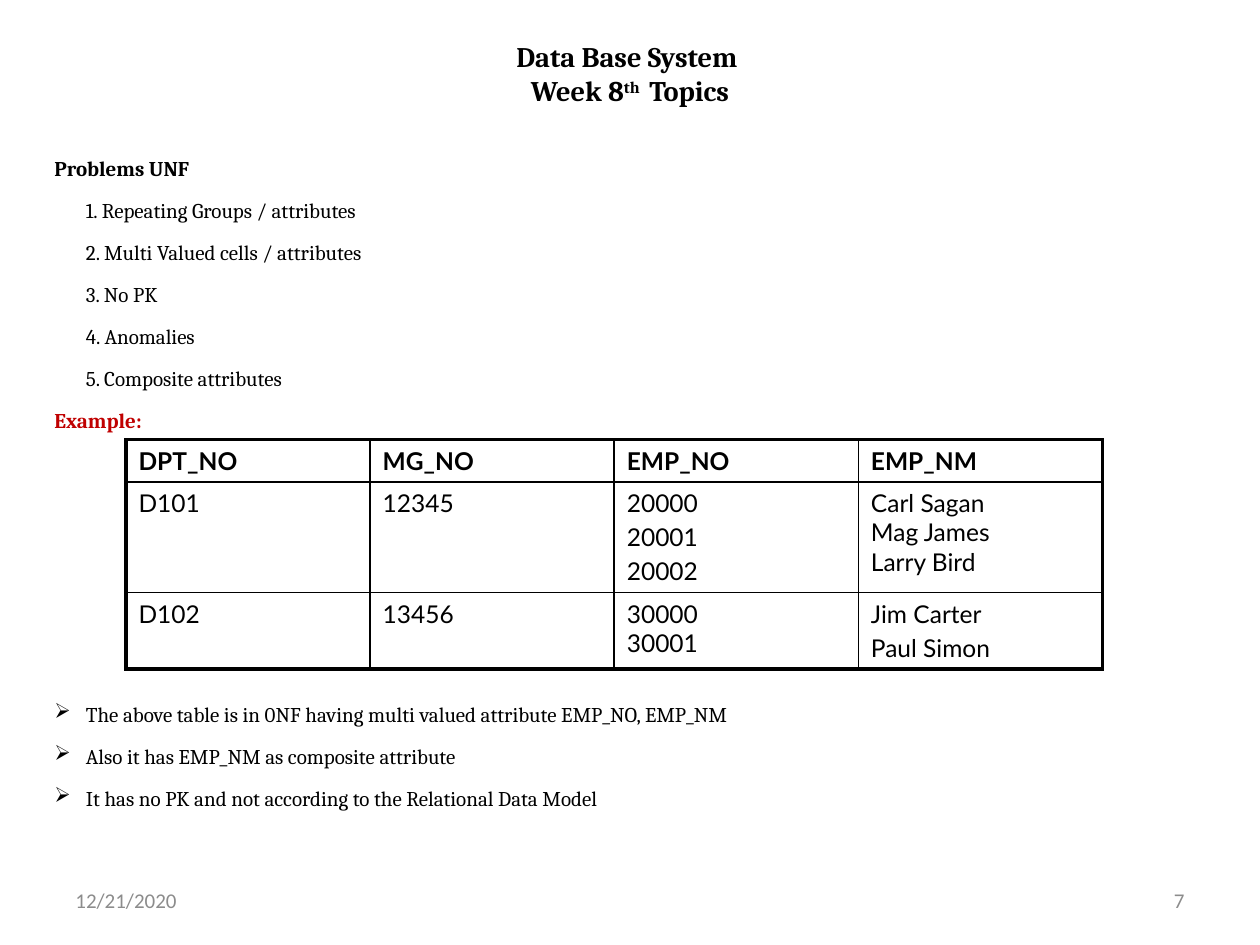
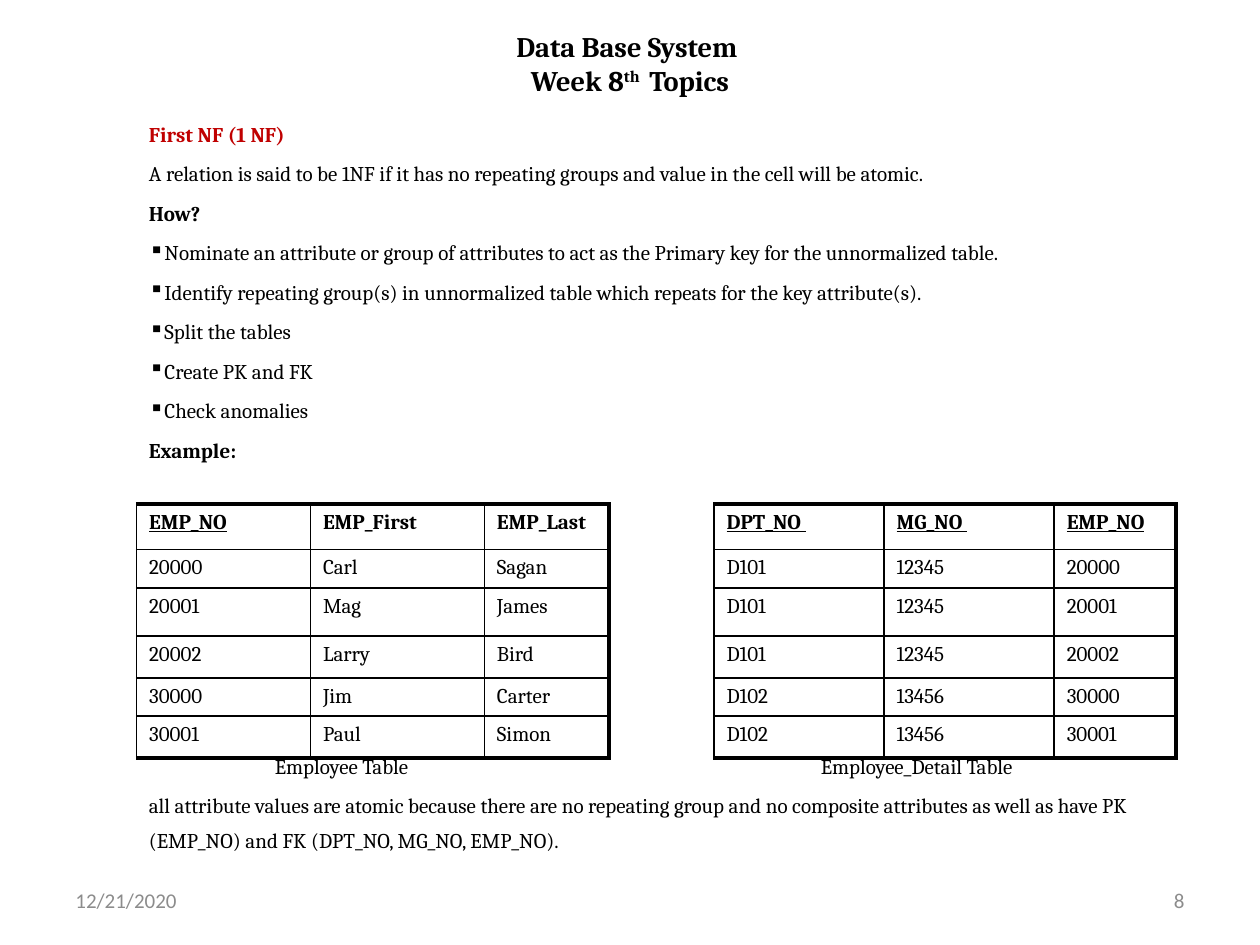
from copy import deepcopy
from itertools import product

from lxml import etree
from pptx import Presentation
from pptx.dml.color import RGBColor
from pptx.enum.text import MSO_ANCHOR as ANCHOR, MSO_AUTO_SIZE as AUTO, PP_ALIGN as ALIGN
from pptx.oxml.ns import qn
from pptx.util import Pt

BLACK = RGBColor(0, 0, 0)
RED = RGBColor(0xC0, 0, 0)
GRAY = RGBColor(0x8C, 0x8C, 0x8C)

BODY = dict(name="Cambria", size=Pt(12), bold=False, color=BLACK)
BOLD = BODY | dict(bold=True)
RED_BOLD = BOLD | dict(color=RED)
KEY = BOLD | dict(underline=True)
TITLE = BOLD | dict(size=Pt(16.2))
FOOTER = dict(name="Calibri", size=Pt(12), color=GRAY)
GRID = dict(name="Lato", size=Pt(14), bold=False, color=BLACK)
THIN, THICK = 1, 2.25


def points(*values):
    return [Pt(v) for v in values]


# Text helpers
def add_run(p, text, style):
    """Add text to a paragraph; a vertical tab is a line break."""
    for i, line in enumerate(text.split("\v")):
        if i:
            p.add_line_break()
            p._p[-1].append(deepcopy(r._r.rPr))
        r = p.add_run()
        r.text = line
        for key, value in style.items():
            if key == "color":
                r.font.color.rgb = value
            else:
                setattr(r.font, key, value)
    return r


def next_paragraph(tf, index, size):
    if index == 0:
        return tf.paragraphs[0]
    p = tf.add_paragraph()
    p.space_before = Pt(0.2 * size.pt)
    return p


def set_indent(p, left, first=0, bullet=None):
    pPr = p._p.get_or_add_pPr()
    pPr.set("marL", str(Pt(left)))
    pPr.set("indent", str(Pt(first)))
    if bullet:
        etree.SubElement(pPr, qn("a:buChar")).set("char", bullet)


def add_text(slide, box, lines, spacing=1.0, align=ALIGN.LEFT, anchor=ANCHOR.TOP):
    """Each line is (text, style) or (text, style, indent arguments)."""
    tf = slide.shapes.add_textbox(*points(*box)).text_frame
    tf.word_wrap = True
    tf.vertical_anchor = anchor
    for i, (text, style, *indent) in enumerate(lines):
        p = next_paragraph(tf, i, style["size"])
        p.line_spacing = spacing
        p.alignment = align
        if indent:
            set_indent(p, *indent[0])
        add_run(p, text, style)


# Title and footer shared by the slides
def add_slide(prs, number, title_height):
    slide = prs.slides.add_slide(prs.slide_layouts[5])
    title = slide.shapes.title
    title.left, title.top, title.width, title.height = points(54, 24, 612, title_height)
    tf = title.text_frame
    tf.auto_size = AUTO.NONE
    tf.vertical_anchor = ANCHOR.MIDDLE
    p = tf.paragraphs[0]
    p.alignment = ALIGN.CENTER
    add_run(p, "Data Base System \vWeek 8", TITLE)
    ordinal = add_run(p, "th ", TITLE)
    ordinal._r.rPr.set("baseline", "30000")
    add_run(p, " Topics", TITLE)

    for left, text, align in ((36, "12/21/2020", ALIGN.LEFT), (516, number, ALIGN.RIGHT)):
        add_text(slide, (left, 500, 168, 29), [(text, FOOTER)], align=align,
                 anchor=ANCHOR.MIDDLE)
    return slide


# Tables
def set_borders(cell, widths):
    tcPr = cell._tc.get_or_add_tcPr()
    for i, (side, width) in enumerate(widths.items()):
        line = etree.Element(qn(f"a:ln{side}"), w=str(Pt(width)))
        fill = etree.SubElement(line, qn("a:solidFill"))
        etree.SubElement(fill, qn("a:srgbClr")).set("val", str(BLACK))
        tcPr.insert(i, line)


def add_grid(slide, origin, widths, heights, rows, style, left_edge=THIN, keys=()):
    """Draw a table with a heavy frame; headings named in keys are underlined."""
    box = points(*origin, sum(widths), sum(heights))
    table = slide.shapes.add_table(len(rows), len(widths), *box).table
    table.first_row = table.horz_banding = False
    for column, width in zip(table.columns, widths):
        column.width = Pt(width)
    for row, height in zip(table.rows, heights):
        row.height = Pt(height)
    last_row, last_col = len(rows) - 1, len(widths) - 1
    for r, c in product(range(len(rows)), range(len(widths))):
        cell = table.cell(r, c)
        cell.fill.background()
        set_borders(cell, dict(
            L=THIN if c else left_edge,
            R=THICK if c == last_col else THIN,
            T=THIN if r else THICK,
            B=THICK if r == last_row else THIN))
        text = rows[r][c]
        font = style | dict(bold=r == 0, underline=r == 0 and text.strip() in keys)
        for i, line in enumerate(text.split("\n")):
            add_run(next_paragraph(cell.text_frame, i, style["size"]), line, font)


# Slide: problems of the unnormalized form
def build_problems(prs):
    slide = add_slide(prs, "7", 36)
    problems = ["Repeating Groups / attributes", "Multi Valued cells / attributes",
                "No PK", "Anomalies", "Composite attributes"]
    add_text(slide, (24, 78, 672, 172),
             [("Problems UNF", BOLD)]
             + [(f"{n}. {text}", BODY, (18,)) for n, text in enumerate(problems, 1)]
             + [("Example:", RED_BOLD)], spacing=1.5)
    add_grid(slide, (72, 251.3), [139.5] * 4, [24, 63.2, 43.4], [
        ["DPT_NO ", "MG_NO ", "EMP_NO", "EMP_NM"],
        ["D101", "12345", "20000\n20001\n20002", "Carl Sagan\vMag James\vLarry Bird"],
        ["D102", "13456", "30000\v30001", "Jim Carter\nPaul Simon"],
    ], GRID, left_edge=THICK)
    notes = ["The above table is in 0NF having multi valued attribute EMP_NO, EMP_NM",
             "Also it has EMP_NM as composite attribute",
             "It has no PK and not according to the Relational Data Model"]
    add_text(slide, (24, 390, 672, 80),
             [(text, BODY, (18, -18, "➢")) for text in notes], spacing=1.5)


# Slide: first normal form
def build_first_form(prs):
    slide = add_slide(prs, "8", 24)
    steps = ["Nominate an attribute or group of attributes to act as the Primary key "
             "for the unnormalized table.",
             "Identify repeating group(s) in unnormalized table which repeats for the "
             "key attribute(s).",
             "Split the tables", "Create PK and FK", "Check anomalies"]
    add_text(slide, (78, 60, 576, 210),
             [("First NF (1 NF)", RED_BOLD),
              ("A relation is said to be 1NF if it has no repeating groups and value "
               "in the cell will be atomic.", BODY),
              ("How?", BOLD)]
             + [(text, BODY, (0, 0, "▪")) for text in steps]
             + [("Example:", BOLD)], spacing=1.4)

    people = [("20000", "Carl", "Sagan"), ("20001", "Mag", "James"),
              ("20002", "Larry", "Bird"), ("30000", "Jim", "Carter"),
              ("30001", "Paul", "Simon")]
    departments = [("D101", "12345")] * 3 + [("D102", "13456")] * 2
    details = [(*dept, person[0]) for dept, person in zip(departments, people)]
    heights = [26, 22, 27.5, 24, 21, 24]
    add_grid(slide, (78, 288), [99.4, 99.4, 71.2], heights,
             [("EMP_NO", "EMP_First", "EMP_Last")] + people, BODY, keys=["EMP_NO"])
    heads = ("DPT_NO ", "MG_NO ", "EMP_NO")
    add_grid(slide, (408, 288), [97.2, 97.2, 69.6], heights,
             [heads] + details, BODY, keys=[h.strip() for h in heads])

    for left, caption in ((150, "Employee Table"), (462, "Employee_Detail Table")):
        add_text(slide, (left, 421.2, 150, 26), [(caption, BODY)], spacing=1.4)
    add_text(slide, (78, 443.5, 576, 50),
             [("all attribute values are atomic because there are no repeating group and "
               "no composite attributes as well as have PK (EMP_NO) and FK (DPT_NO, "
               "MG_NO, EMP_NO).", BODY)], spacing=1.4)


prs = Presentation()
prs.slide_width, prs.slide_height = points(720, 540)
build_problems(prs)
build_first_form(prs)
prs.save("out.pptx")
